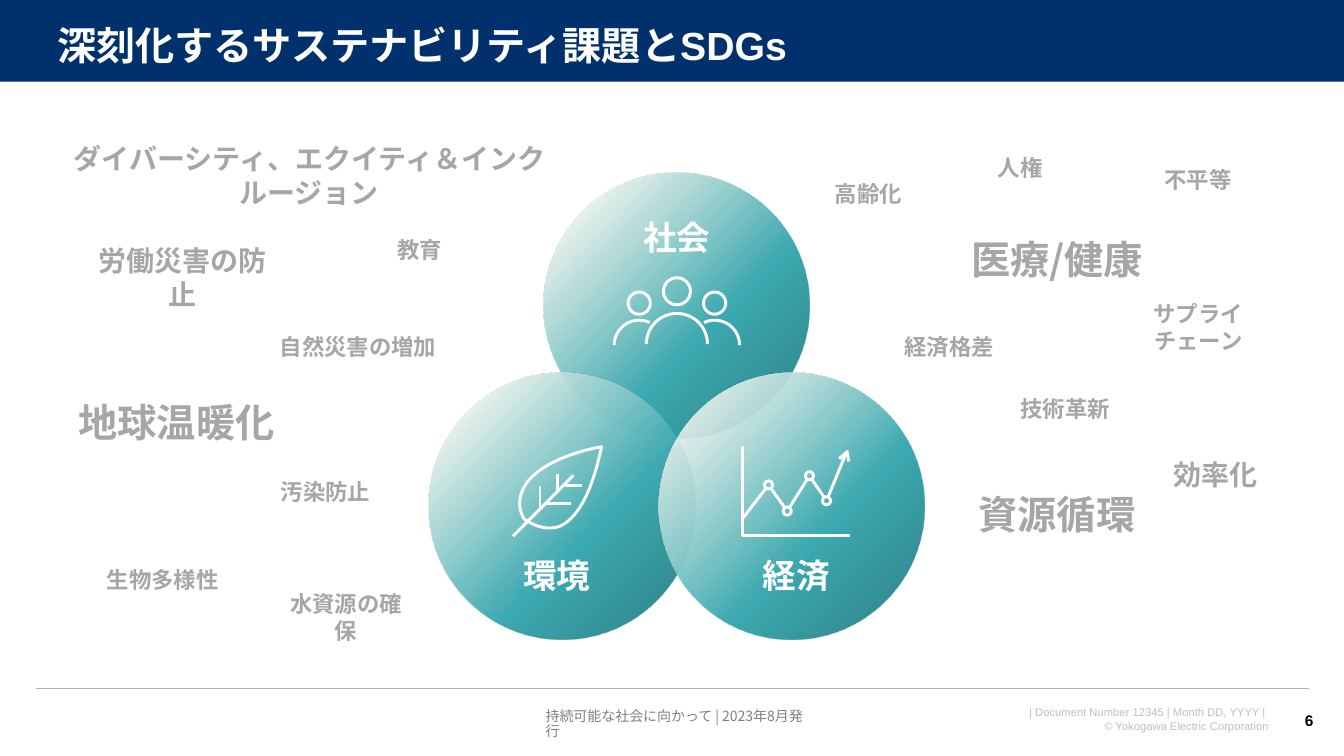
import math
from typing import NamedTuple

from lxml import etree
from pptx import Presentation
from pptx.dml.color import RGBColor
from pptx.enum.lang import MSO_LANGUAGE_ID
from pptx.enum.shapes import MSO_CONNECTOR, MSO_SHAPE
from pptx.enum.text import MSO_ANCHOR, PP_ALIGN
from pptx.oxml import parse_xml
from pptx.oxml.ns import qn
from pptx.util import Cm, Pt

LEFT, CENTER, RIGHT = PP_ALIGN.LEFT, PP_ALIGN.CENTER, PP_ALIGN.RIGHT
TOP, MIDDLE = MSO_ANCHOR.TOP, MSO_ANCHOR.MIDDLE
RECTANGLE, OVAL = MSO_SHAPE.RECTANGLE, MSO_SHAPE.OVAL
STRAIGHT = MSO_CONNECTOR.STRAIGHT
JAPANESE = MSO_LANGUAGE_ID.JAPANESE
LATIN_FONT, JAPANESE_FONT = "Arial", "Noto Sans CJK JP"
COLORS = {
    "navy": "00316C", "white": "FFFFFF", "black": "000000", "rule": "B2B2B2",
    "issue": "A6A6A6", "event": "808080", "document": "BFBFBF",
}
GRADIENT = ((0, "2E7F85", 100), (40, "3DAAB1", 100), (87, "EBF2EB", 90), (100, "E5EBDF", 90))
DIAMETER = 6.71
ICON_WIDTH = 2.1

Point = tuple[float, float]
Contour = list[Point]


class Issue(NamedTuple):
    text: str
    left: float
    top: float
    width: float
    size: int = 16


class Pillar(NamedTuple):
    label: str
    left: float
    top: float
    margins: tuple[float, float, float, float]


ISSUES = [
    Issue("生物多様性", 2.68, 14.27, 2.84),
    Issue("医療/健康", 24.36, 5.93, 4.57, 28),
    Issue("資源循環", 24.64, 12.34, 3.99, 28),
    Issue("地球温暖化", 1.96, 10.03, 4.98, 28),
    Issue("高齢化", 21.03, 4.55, 1.7),
    Issue("経済格差", 22.78, 8.4, 2.29),
    Issue("効率化", 29.56, 11.53, 2.13, 20),
    Issue("水資源の確保", 7.05, 15.2, 3.34),
    Issue("ダイバーシティ、エクイティ＆インクルージョン", 1.44, 3.99, 12.7, 20),
    Issue("教育", 10.01, 5.94, 1.14),
    Issue("汚染防止", 7.06, 12.04, 2.29),
    Issue("自然災害の増加", 7.04, 8.4, 3.97),
    Issue("技術革新", 25.7, 9.96, 2.29),
    Issue("人権", 25.14, 3.89, 1.14),
    Issue("サプライチェーン", 28.37, 7.9, 3.66),
    Issue("労働災害の防止", 2.13, 6.56, 4.93, 20),
    Issue("不平等", 29.34, 4.19, 1.7),
]
SOCIETY = Pillar("社会", 13.7, 4.35, (0.25, 0.13, 0.25, 3.61))
ENVIRONMENT = Pillar("環境", 10.81, 9.4, (0.25, 3.61, 0.51, 0.13))
ECONOMY = Pillar("経済", 16.59, 9.4, (0.51, 3.61, 0.25, 0.13))

prs = Presentation()
prs.slide_width, prs.slide_height = Cm(33.87), Cm(19.05)
slide = prs.slides.add_slide(prs.slide_layouts[6])
shapes = slide.shapes


def rgb(name: str) -> RGBColor:
    return RGBColor.from_string(COLORS[name])


def write(frame, text: str, *, size: float, color: str, font: str = JAPANESE_FONT,
          bold: bool = False, align=LEFT, anchor=MIDDLE, spacing: float = 1.0,
          margins: tuple[float, float, float, float] = (0, 0, 0, 0)) -> None:
    frame.word_wrap = True
    frame.vertical_anchor = anchor
    frame.margin_left, frame.margin_top, frame.margin_right, frame.margin_bottom = map(Cm, margins)
    for number, line in enumerate(text.split("\n")):
        paragraph = frame.paragraphs[0] if number == 0 else frame.add_paragraph()
        paragraph.alignment = align
        paragraph.line_spacing = spacing
        run = paragraph.add_run()
        run.text = line
        run.font.size = Pt(size)
        run.font.bold = bold
        run.font.color.rgb = rgb(color)
        run.font.language_id = JAPANESE
        run.font.name = font
        east_asian = etree.SubElement(run.font._element, qn("a:ea"))
        east_asian.set("typeface", JAPANESE_FONT)


def add_text(text: str, left: float, top: float, width: float, height: float, **style) -> None:
    box = shapes.add_textbox(Cm(left), Cm(top), Cm(width), Cm(height))
    write(box.text_frame, text, **style)


def arc(center: Point, radius: float, start: int = 0, end: int = 360) -> Contour:
    angles = [math.radians(start + (end - start) * step / 32) for step in range(33)]
    return [(center[0] + radius * math.cos(a), center[1] + radius * math.sin(a)) for a in angles]


def bezier(a: Point, b: Point, c: Point, d: Point) -> Contour:
    def blend(axis: int, t: float) -> float:
        u = 1 - t
        return u**3 * a[axis] + 3 * u * u * t * b[axis] + 3 * u * t * t * c[axis] + t**3 * d[axis]
    return [(blend(0, step / 20), blend(1, step / 20)) for step in range(21)]


def toward(start: Point, end: Point, distance: float) -> Point:
    share = distance / math.dist(start, end)
    return start[0] + share * (end[0] - start[0]), start[1] + share * (end[1] - start[1])


def add_icon(contours: list[Contour]) -> None:
    lengths = [[(Cm(x), Cm(y)) for x, y in contour] for contour in contours]
    builder = shapes.build_freeform(*lengths[0][0])
    for start, *rest in lengths:
        builder.move_to(*start)
        builder.add_line_segments(rest, close=False)
    icon = builder.convert_to_shape()
    icon.shadow.inherit = False
    icon.fill.background()
    icon.line.color.rgb = rgb("white")
    icon.line.width = Pt(ICON_WIDTH)


def add_pillar(pillar: Pillar) -> None:
    circle = shapes.add_shape(OVAL, Cm(pillar.left), Cm(pillar.top), Cm(DIAMETER), Cm(DIAMETER))
    circle.shadow.inherit = False
    circle.line.fill.background()
    stops = "".join(
        f'<a:gs pos="{position * 1000}"><a:srgbClr val="{color}">'
        f'<a:alpha val="{opacity * 1000}"/></a:srgbClr></a:gs>'
        for position, color, opacity in GRADIENT)
    gradient = parse_xml(
        '<a:gradFill xmlns:a="http://schemas.openxmlformats.org/drawingml/2006/main" '
        f'rotWithShape="1"><a:gsLst>{stops}</a:gsLst><a:lin ang="{225 * 60000}" scaled="0"/></a:gradFill>')
    circle._element.spPr.find(qn("a:prstGeom")).addnext(gradient)
    write(circle.text_frame, pillar.label, size=24, color="white", font=LATIN_FONT,
          bold=True, align=CENTER, margins=pillar.margins)


def people(axis: float = 17.06, offset: float = 0.95) -> list[Contour]:
    contours = [arc((axis, 7.34), 0.34), arc((axis, 8.67), 0.77, 180, 360)]
    for x, start, end in ((axis - offset, 180, 295), (axis + offset, 245, 360)):
        contours += [arc((x, 7.64), 0.28), arc((x, 8.7), 0.63, start, end)]
    return contours


def leaf() -> list[Contour]:
    tip, shoulder, base, belly = (15.16, 11.26), (13.21, 12.27), (13.21, 13.08), (14.19, 13.22)
    blade = (bezier(tip, (14.88, 11.3), (13.6, 11.58), shoulder)
             + bezier(shoulder, (13.06, 12.55), (13.06, 12.82), base)[1:]
             + bezier(base, (13.63, 13.37), (13.98, 13.34), belly)[1:]
             + bezier(belly, (14.83, 12.85), (15.08, 11.61), tip)[1:])
    stem = [(12.93, 13.51), (14.45, 11.98)]
    veins = [[(13.61, 12.24), (13.61, 12.78)], [(14.06, 11.94), (14.06, 12.37)],
             [(14.25, 12.24), (14.66, 12.24)], [(13.79, 12.69), (14.38, 12.69)]]
    return [blade, stem, *veins]


def growth_graph(dot: float = 0.1) -> list[Contour]:
    trend = [(18.72, 13.06), (19.37, 12.22), (19.84, 12.88), (20.4, 11.99), (20.83, 12.62), (21.34, 11.38)]
    axes = [(18.71, 11.25), (18.71, 13.49), (21.41, 13.49)]
    arrowhead = [(21.15, 11.56), (21.35, 11.38), (21.39, 11.63)]
    segments = [[toward(start, end, dot if index > 0 else 0),
                 toward(end, start, dot if index < len(trend) - 2 else 0)]
                for index, (start, end) in enumerate(zip(trend, trend[1:]))]
    return [axes, *segments, *(arc(center, dot) for center in trend[1:-1]), arrowhead]


add_text("| Document Number 12345 | Month DD, YYYY | \n© Yokogawa Electric Corporation",
         24.08, 17.65, 8.15, 0.94, size=8, color="document", font=LATIN_FONT,
         align=RIGHT, anchor=TOP, margins=(0.25, 0.13, 0.25, 0.13))
header = shapes.add_shape(RECTANGLE, 0, 0, prs.slide_width, Cm(2.06))
header.shadow.inherit = False
header.fill.solid()
header.fill.fore_color.rgb = rgb("navy")
header.line.fill.background()
footer_rule = shapes.add_connector(STRAIGHT, Cm(0.91), Cm(17.35), Cm(32.99), Cm(17.35))
footer_rule.line.color.rgb = rgb("rule")
footer_rule.line.width = Pt(1)
etree.SubElement(footer_rule._element.spPr, qn("a:effectLst"))
add_text("持続可能な社会に向かって | 2023年8月発行", 13.75, 18.06, 6.81, 0.38,
         size=10, color="event", spacing=0.9)
add_text("深刻化するサステナビリティ課題とSDGs", 1.44, 0.41, 30.99, 1.32, size=28, color="white",
         font=LATIN_FONT, bold=True, anchor=TOP, spacing=1.1, margins=(0, 0, 0, 0.13))
add_text("6", 32.23, 17.65, 1.12, 1.02, size=11, color="black", font=LATIN_FONT,
         bold=True, align=RIGHT, margins=(0.25, 0.13, 0.25, 0.13))
for issue in ISSUES:
    add_text(issue.text, issue.left, issue.top, issue.width, issue.size * 0.0425,
             size=issue.size, color="issue", bold=True, align=CENTER)
for pillar, icon_contours in ((SOCIETY, people()), (ENVIRONMENT, leaf()), (ECONOMY, growth_graph())):
    add_pillar(pillar)
    add_icon(icon_contours)

prs.save("out.pptx")
